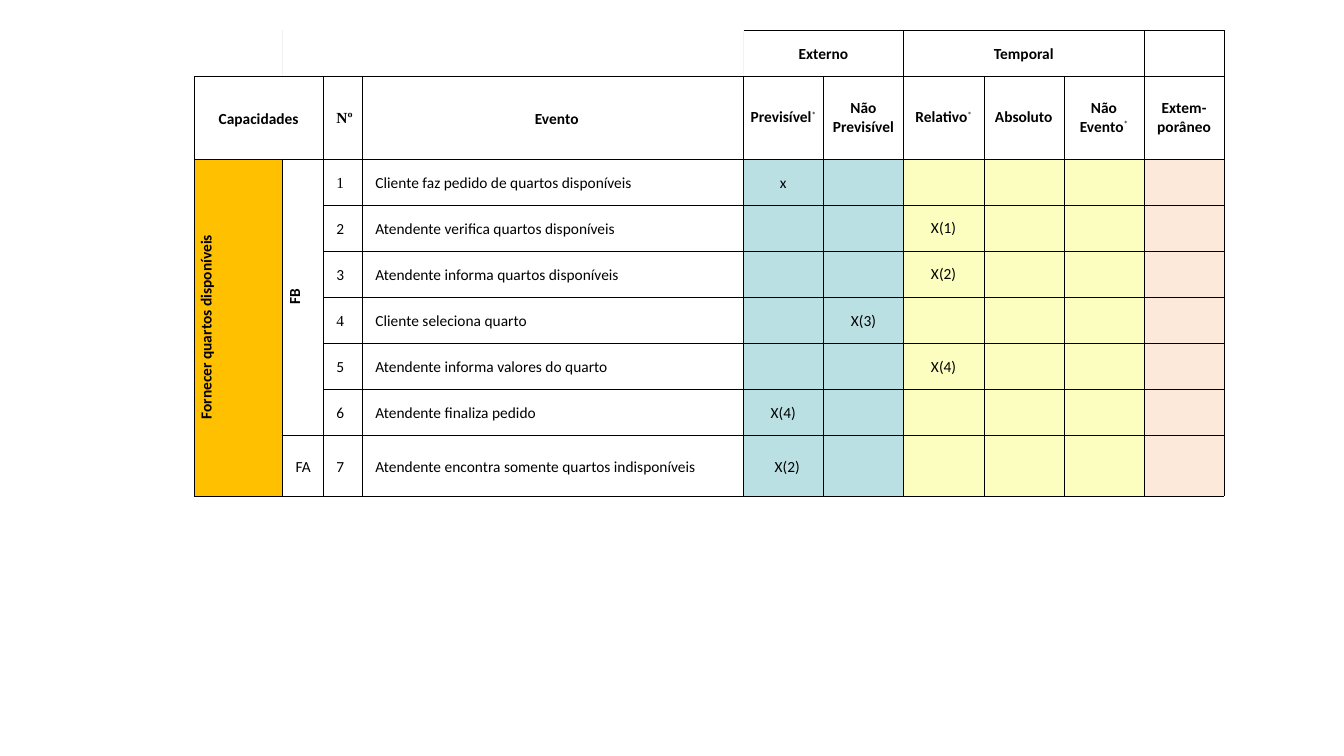
from lxml import etree
from pptx import Presentation
from pptx.dml.color import RGBColor
from pptx.enum.text import MSO_ANCHOR, PP_ALIGN
from pptx.oxml.ns import qn
from pptx.util import Cm, Pt

MIDDLE = MSO_ANCHOR.MIDDLE
LEFT, CENTER = PP_ALIGN.LEFT, PP_ALIGN.CENTER
HUES = {"ink": "000000", "pale": "F2F2F2", "gold": "FFC000",
        "blue": "BBE0E3", "yellow": "FBFEBE", "peach": "FDE9D9"}
SERIF = "Times New Roman"
WIDTHS = [2.23, 1.03, 0.98, 9.6] + [2.02] * 6
HEIGHTS = [1.16, 2.08] + [1.16] * 6 + [1.53]
BANDS = ["blue"] * 2 + ["yellow"] * 3 + ["peach"]
KINDS = ["Previsível*", "Não Previsível", "Relativo*", "Absoluto",
         "Não Evento*", "Extem-porâneo"]
EVENTS = ["Cliente faz pedido de quartos disponíveis",
          "Atendente verifica quartos disponíveis",
          "Atendente informa quartos disponíveis",
          "Cliente seleciona quarto",
          "Atendente informa valores do quarto",
          "Atendente finaliza pedido",
          "Atendente encontra somente quartos indisponíveis"]
MARKS = [(2, 4, "x"), (3, 6, "X(1)"), (4, 6, "X(2)"), (5, 5, "X(3)"),
         (6, 6, "X(4)"), (7, 4, "X(4)"), (8, 4, "X(2)")]
SPANS = [(0, 1, 0, 3), (0, 4, 0, 5), (0, 6, 0, 8), (1, 0, 1, 1),
         (2, 0, 8, 0), (2, 1, 7, 1)]
TOPS = {0: (None, "pale", None, "ink"), 1: ("pale", None, None, "ink"),
        2: (None, None, None, "ink"), 3: (None, "pale", None, "ink"),
        4: ("pale", "ink", "ink", "ink")}


class Deck:
    font = "Calibri"
    size = Pt(11)

    def __init__(self):
        self.prs = Presentation()
        self.prs.slide_width, self.prs.slide_height = Cm(33.87), Cm(19.05)
        self.slide = self.prs.slides.add_slide(self.prs.slide_layouts[6])

    def grid(self, left, top, widths, heights):
        table = self.slide.shapes.add_table(
            len(heights), len(widths), Cm(left), Cm(top),
            Cm(sum(widths)), Cm(sum(heights))).table
        table.first_row = table.horz_banding = False
        for col, width in zip(table.columns, widths):
            col.width = Cm(width)
        for row, height in zip(table.rows, heights):
            row.height = Cm(height)
        return table

    def edges(self, cell, hues):
        props = cell._tc.get_or_add_tcPr()
        for side, hue in zip("LRTB", hues):
            line = etree.SubElement(props, qn("a:ln" + side), w=str(Pt(0.25)))
            if hue:
                fill = etree.SubElement(line, qn("a:solidFill"))
                etree.SubElement(fill, qn("a:srgbClr"), val=HUES[hue])
            else:
                etree.SubElement(line, qn("a:noFill"))

    def paint(self, cell, hue=None):
        if hue:
            cell.fill.solid()
            cell.fill.fore_color.rgb = RGBColor.from_string(HUES[hue])
        else:
            cell.fill.background()

    def label(self, cell, text, align=CENTER, bold=False, font=None,
              indent=0, space=1.15, turn=False):
        cell.vertical_anchor = MIDDLE
        cell.margin_left = cell.margin_right = Cm(0.13)
        cell.margin_top = cell.margin_bottom = 0
        if turn:
            cell._tc.get_or_add_tcPr().set("vert", "vert270")
        para = cell.text_frame.paragraphs[0]
        para.alignment, para.line_spacing = align, space
        para._p.get_or_add_pPr().set("indent", str(Cm(indent)))
        word, star, _ = text.partition("*")
        for part in filter(None, (word, star)):
            run = para.add_run()
            run.text = part
            run.font.bold = bold and part != star
            if part == star:
                run._r.get_or_add_rPr().set("baseline", "30000")
        para.font.name, para.font.size = font or self.font, self.size
        para.font.color.rgb = RGBColor.from_string(HUES["ink"])


deck = Deck()
table = deck.grid(4.89, 0.76, WIDTHS, HEIGHTS)
for row in range(len(HEIGHTS)):
    for col in range(len(WIDTHS)):
        cell = table.cell(row, col)
        deck.edges(cell, TOPS.get(col, ["ink"] * 4) if row == 0 else ["ink"] * 4)
        hue = None
        if row > 1:
            hue = "gold" if col == 0 else BANDS[col - 4] if col > 3 else None
        deck.paint(cell, hue)
for top, left, base, right in SPANS:
    table.cell(top, left).merge(table.cell(base, right))

for row, col, text in [(0, 4, "Externo"), (0, 6, "Temporal"), (1, 0, "Capacidades")]:
    deck.label(table.cell(row, col), text, bold=True)
deck.label(table.cell(1, 2), "Nº", LEFT, True, SERIF, 0.2)
deck.label(table.cell(1, 3), "Evento", bold=True, indent=0.2)
for col, text in enumerate(KINDS, 4):
    deck.label(table.cell(1, col), text, bold=True, space=1.0)
for col, text in enumerate(["Fornecer quartos disponíveis", "FB"]):
    deck.label(table.cell(2, col), text, bold=True, turn=True)
deck.label(table.cell(8, 1), "FA", LEFT, indent=0.2)
for num, event in enumerate(EVENTS, 1):
    font = SERIF if num in (1, 4) else None
    deck.label(table.cell(num + 1, 2), str(num), LEFT, font=font, indent=0.2)
    deck.label(table.cell(num + 1, 3), event, LEFT, indent=0.2)
for row, col, text in MARKS:
    deck.label(table.cell(row, col), text, indent=0.2 if row == 8 else 0,
               space=1.0 if row in (3, 4) else 1.15)
deck.prs.save("out.pptx")
